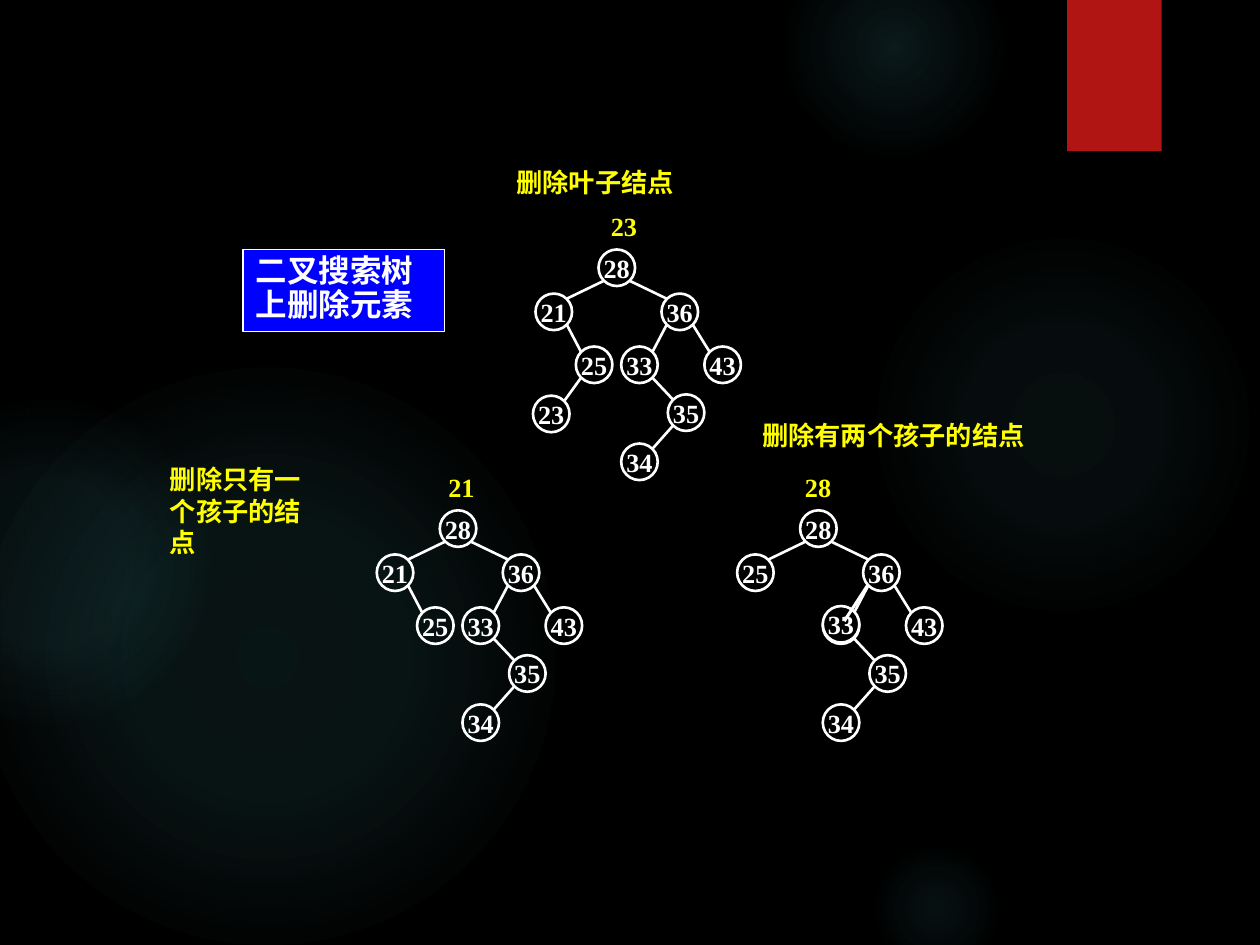
from typing import NamedTuple

from lxml import etree
from pptx import Presentation
from pptx.dml.color import RGBColor
from pptx.enum import shapes, text
from pptx.oxml import parse_xml
from pptx.oxml.ns import nsdecls, qn
from pptx.util import Inches, Pt

FONT = "Times New Roman"
WHITE, YELLOW, BLACK, BLUE, RED, TEAL = "FFFFFF", "FFFF00", "000000", "0000FF", "B01513", "50B9C1"
NODE = 0.29
NEAR, FAR_X, FAR_Y = 0.04, 0.25, 0.25  # where edges meet a node's outline


class Glow(NamedTuple):
    x: float
    y: float
    size: float
    stops: tuple[tuple[int, int], ...]  # position %, opacity %


class Node(NamedTuple):
    key: str
    dx: float
    dy: float


class Tree(NamedTuple):
    x: float
    y: float
    nodes: tuple[Node, ...]
    edges: tuple[tuple[str, str], ...]


class Label(NamedTuple):
    words: str
    x: float
    y: float
    width: float
    wrap: bool = True


GLOWS = (
    Glow(6.89, 1.83, 3.08, ((0, 7), (36, 6), (69, 0))),
    Glow(6.22, -0.5, 1.75, ((0, 14), (36, 7), (73, 0))),
    Glow(6.89, 6.67, 1.08, ((0, 9), (36, 5), (66, 0))),
    Glow(-0.17, 2.92, 4.58, ((0, 11), (36, 10), (75, 0))),
    Glow(-0.92, 3.17, 2.58, ((0, 8), (36, 8), (72, 0))),
)

RIGHT_NODES = (
    Node("28", 0, 0), Node("36", 0.5, 0.35), Node("33", 0.18, 0.77),
    Node("43", 0.84, 0.77), Node("35", 0.55, 1.15), Node("34", 0.18, 1.54),
)
RIGHT_EDGES = (("28", "36"), ("36", "33"), ("36", "43"), ("33", "35"), ("35", "34"))
LEFT_NODES = (Node("21", -0.5, 0.35), Node("25", -0.18, 0.77))
LEFT_EDGES = (("28", "21"), ("21", "25"))

LEAF_TREE = Tree(4.75, 1.98, RIGHT_NODES + LEFT_NODES + (Node("23", -0.52, 1.16),),
                 RIGHT_EDGES + LEFT_EDGES + (("25", "23"),))
ONE_CHILD_TREE = Tree(3.49, 4.05, RIGHT_NODES + LEFT_NODES, RIGHT_EDGES + LEFT_EDGES)
TWO_CHILD_TREE = Tree(6.35, 4.05, RIGHT_NODES + (Node("25", -0.5, 0.35),),
                      RIGHT_EDGES + (("28", "25"),))

LABELS = (
    Label("删除叶子结点", 4, 1.27, 1.92),
    Label("23", 4.75, 1.62, 0.41, False),
    Label("删除只有一个孩子的结点", 1.25, 3.63, 1.44),
    Label("21", 3.46, 3.69, 0.41, False),
    Label("删除有两个孩子的结点", 5.95, 3.28, 2.63),
    Label("28", 6.29, 3.69, 0.41, False),
)


def rgb(value: str) -> RGBColor:
    return RGBColor.from_string(value)


def add_block(s, kind, x: float, y: float, w: float, h: float,
              fill: str | None = None, line: str | None = None, weight: float = 1.5):
    """Add a preset shape; without a colour, its fill or line is left empty."""
    sp = s.shapes.add_shape(kind, Inches(x), Inches(y), Inches(w), Inches(h))
    sp.shadow.inherit = False
    if fill:
        sp.fill.solid()
        sp.fill.fore_color.rgb = rgb(fill)
    else:
        sp.fill.background()
    if line:
        sp.line.color.rgb = rgb(line)
        sp.line.width = Pt(weight)
    else:
        sp.line.fill.background()
    return sp


def write(sp, words: str, size: float, color: str, align=text.PP_ALIGN.LEFT):
    p = sp.text_frame.paragraphs[0]
    p.text = words
    p.alignment = align
    p.font.name = FONT
    p.font.size = Pt(size)
    p.font.bold = True
    p.font.color.rgb = rgb(color)
    return p


def add_glow(s, glow: Glow) -> None:
    sp = add_block(s, shapes.MSO_SHAPE.OVAL, glow.x, glow.y, glow.size, glow.size)
    stops = "".join(
        f'<a:gs pos="{pos * 1000}"><a:srgbClr val="{TEAL}">'
        f'<a:alpha val="{alpha * 1000}"/></a:srgbClr></a:gs>'
        for pos, alpha in glow.stops)
    gradient = parse_xml(
        f'<a:gradFill {nsdecls("a")}><a:gsLst>{stops}</a:gsLst><a:path path="circle">'
        '<a:fillToRect l="50000" t="50000" r="50000" b="50000"/></a:path></a:gradFill>')
    props = sp._element.spPr
    props.replace(props.find(qn("a:noFill")), gradient)


def add_line(s, x1: float, y1: float, x2: float, y2: float, weight: float = 1.5) -> None:
    c = s.shapes.add_connector(shapes.MSO_CONNECTOR.STRAIGHT,
                               Inches(x1), Inches(y1), Inches(x2), Inches(y2))
    c.line.color.rgb = rgb(WHITE)
    c.line.width = Pt(weight)
    etree.SubElement(c._element.spPr, qn("a:effectLst"))


def add_node(s, key: str, x: float, y: float, fill: str | None = None) -> None:
    sp = add_block(s, shapes.MSO_SHAPE.OVAL, x, y, NODE, NODE, fill, WHITE)
    tf = sp.text_frame
    tf.word_wrap = False
    tf.vertical_anchor = text.MSO_ANCHOR.MIDDLE
    tf.margin_left = tf.margin_right = Inches(0.07)
    tf.margin_top = tf.margin_bottom = Inches(0.04)
    write(sp, key, 15, WHITE, text.PP_ALIGN.CENTER)


def add_tree(s, tree: Tree) -> None:
    places = {n.key: (tree.x + n.dx, tree.y + n.dy) for n in tree.nodes}
    for key, (x, y) in places.items():
        add_node(s, key, x, y)
    for parent, child in tree.edges:
        (px, py), (cx, cy) = places[parent], places[child]
        start, end = (NEAR, FAR_X) if cx < px else (FAR_X, NEAR)
        add_line(s, px + start, py + FAR_Y, cx + end, cy + NEAR)


def add_label(s, label: Label) -> None:
    sp = s.shapes.add_textbox(Inches(label.x), Inches(label.y),
                              Inches(label.width), Inches(0.35))
    sp.text_frame.word_wrap = label.wrap
    sp.text_frame.auto_size = text.MSO_AUTO_SIZE.SHAPE_TO_FIT_TEXT
    write(sp, label.words, 15, YELLOW)


def add_title(s) -> None:
    sp = add_block(s, shapes.MSO_SHAPE.RECTANGLE, 1.93, 1.98, 1.6, 0.65, BLUE, WHITE, 0.75)
    tf = sp.text_frame
    tf.word_wrap = True
    tf.vertical_anchor = text.MSO_ANCHOR.TOP
    tf.auto_size = text.MSO_AUTO_SIZE.SHAPE_TO_FIT_TEXT
    write(sp, "二叉搜索树上删除元素", 18, WHITE).line_spacing = 0.9


def main() -> None:
    prs = Presentation()
    prs.slide_width, prs.slide_height = Inches(10), Inches(7.5)
    s = prs.slides.add_slide(prs.slide_layouts[6])
    s.background.fill.solid()
    s.background.fill.fore_color.rgb = rgb(BLACK)
    for glow in GLOWS:
        add_glow(s, glow)
    add_block(s, shapes.MSO_SHAPE.RECTANGLE, 8.47, 0, 0.75, 1.2, RED)
    for tree in (LEAF_TREE, ONE_CHILD_TREE, TWO_CHILD_TREE):
        add_tree(s, tree)
    for label in LABELS:
        add_label(s, label)
    add_node(s, "33", 6.53, 4.81, BLACK)
    add_title(s)
    add_line(s, 6.89, 4.64, 6.7, 4.93, 1.75)
    prs.save("out.pptx")


if __name__ == "__main__":
    main()
